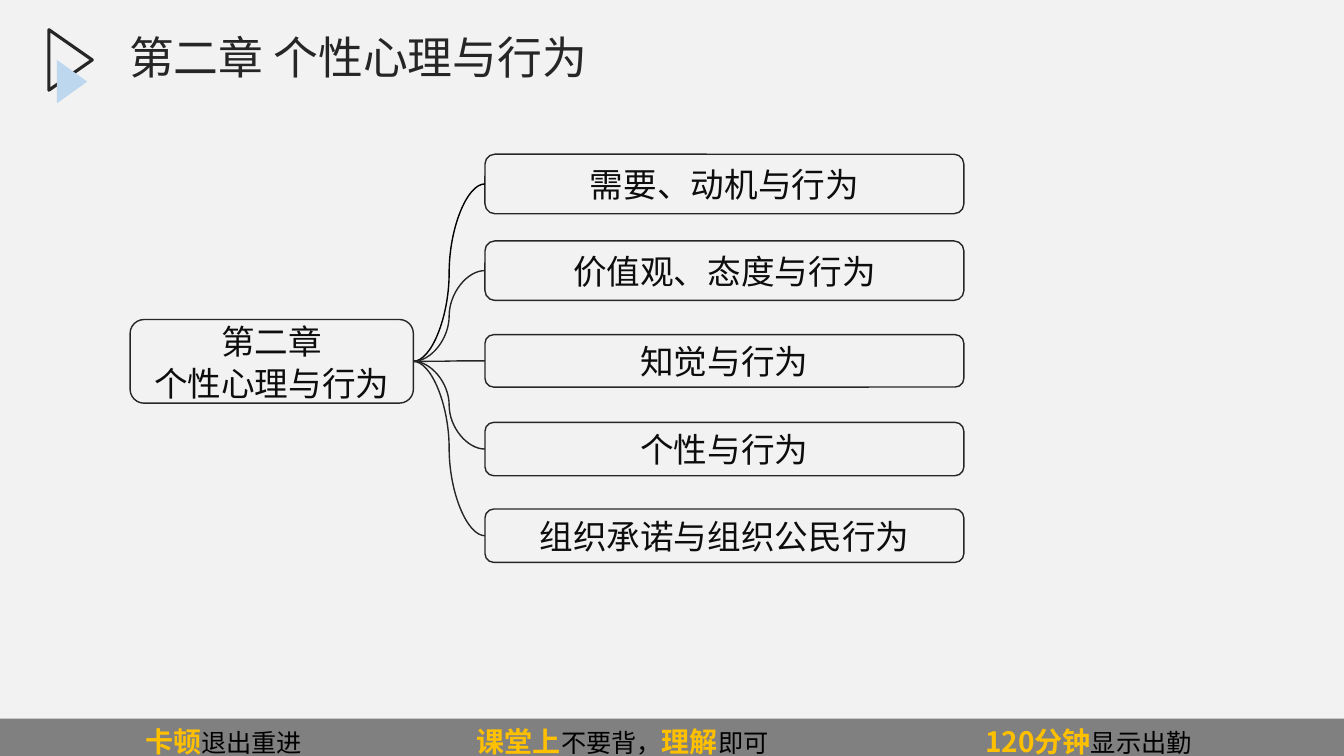
from typing import NamedTuple

from lxml.etree import SubElement
from pptx import Presentation
from pptx.dml.color import RGBColor
from pptx.enum.shapes import MSO_CONNECTOR as Link, MSO_SHAPE as Form
from pptx.enum.text import MSO_ANCHOR as Anchor, MSO_AUTO_SIZE as Fit, PP_ALIGN as Align
from pptx.oxml.ns import qn
from pptx.util import Inches, Pt

FONT = "Noto Sans CJK SC"
COLORS = {
    "page": "F2F2F2", "line": "262626", "text": "0D0D0D", "sky": "BDD7EE",
    "bar": "808080", "gold": "FFC000", "black": "000000",
}


class Box(NamedTuple):
    left: float
    top: float
    width: float
    height: float


class Topic(NamedTuple):
    text: str
    top: float
    height: float


class Note(NamedTuple):
    tab: float
    words: tuple  # strong and plain words in turn


TOPICS = [
    Topic("需要、动机与行为", 1.53, 0.59),
    Topic("价值观、态度与行为", 2.39, 0.59),
    Topic("知觉与行为", 3.32, 0.52),
    Topic("个性与行为", 4.19, 0.53),
    Topic("组织承诺与组织公民行为", 5.05, 0.53),
]
NOTES = [
    Note(1.45, ("卡顿", "退出重进")),
    Note(4.74, ("课堂上", "不要背，", "理解", "即可")),
    Note(9.78, ("120分钟", "显示出勤")),
]


def color(name: str) -> RGBColor:
    return RGBColor.from_string(COLORS[name])


def add_run(para, text: str, size: int, hue: str, bold: bool = False) -> None:
    run = para.add_run()
    run.text = text
    font = run.font
    font.size, font.bold, font.name = Pt(size), bold, FONT
    font.color.rgb = color(hue)
    SubElement(font._element, qn("a:ea"), typeface=FONT)


def add_form(slide, form, box: Box, fill: str = "", line: str = "", weight: float = 1):
    shape = slide.shapes.add_shape(form, *map(Inches, box))
    shape.shadow.inherit = False
    if fill:
        shape.fill.solid()
        shape.fill.fore_color.rgb = color(fill)
    else:
        shape.fill.background()
    if line:
        shape.line.color.rgb = color(line)
        shape.line.width = Pt(weight)
    else:
        shape.line.fill.background()
    return shape


def add_node(slide, box: Box, lines: list[str], pitch: float | None = None):
    node = add_form(slide, Form.ROUNDED_RECTANGLE, box, line="line")
    frame = node.text_frame
    frame.word_wrap, frame.vertical_anchor = True, Anchor.MIDDLE
    for i, text in enumerate(lines):
        para = frame.add_paragraph() if i else frame.paragraphs[0]
        para.alignment = Align.CENTER
        if pitch:
            para.line_spacing = Pt(pitch)
        add_run(para, text, 24, "text")
    return node


def add_curve(slide, start, end, hue: str) -> None:
    curve = slide.shapes.add_connector(Link.CURVE, 0, 0, 0, 0)
    curve.begin_connect(start, 3)  # right side
    curve.end_connect(end, 1)  # left side
    curve.line.color.rgb = color(hue)
    curve.line.width = Pt(1)
    SubElement(curve._element.spPr, qn("a:effectLst"))


def add_title(slide, text: str) -> None:
    title = slide.shapes.title
    title.left, title.top = Inches(1.18), Inches(0.3)
    title.width, title.height = Inches(7.63), Inches(0.89)
    frame = title.text_frame
    frame.auto_size, frame.vertical_anchor = Fit.NONE, Anchor.TOP
    para = frame.paragraphs[0]
    para.alignment, para.line_spacing = Align.LEFT, 0.9
    add_run(para, text, 32, "line")


def add_footer(slide) -> None:
    bar = add_form(slide, Form.RECTANGLE, Box(-0.01, 7.13, 13.34, 0.44), fill="bar")
    frame = bar.text_frame
    frame.vertical_anchor = Anchor.MIDDLE
    frame.margin_left = frame.margin_right = frame.margin_top = frame.margin_bottom = 0
    para = frame.paragraphs[0]
    para.alignment = Align.LEFT
    tabs = SubElement(para._p.get_or_add_pPr(), qn("a:tabLst"))
    for note in NOTES:
        SubElement(tabs, qn("a:tab"), pos=str(Inches(note.tab)), algn="l")
        for i, text in enumerate(note.words):
            strong = i % 2 == 0
            lead = "" if i else "\t"
            add_run(para, lead + text, 20 if strong else 18,
                    "gold" if strong else "black", strong)


def main() -> None:
    deck = Presentation()
    deck.slide_width, deck.slide_height = Inches(13.33), Inches(7.5)
    slide = deck.slides.add_slide(deck.slide_layouts[5])
    slide.background.fill.solid()
    slide.background.fill.fore_color.rgb = color("page")

    # Heading with its two triangles
    for box, fill, line in (
        (Box(0.4, 0.38, 0.6, 0.43), "", "line"),
        (Box(0.5, 0.66, 0.43, 0.3), "sky", ""),
    ):
        mark = add_form(slide, Form.ISOSCELES_TRIANGLE, box, fill, line, 2.25)
        mark.rotation = 90
    add_title(slide, "第二章 个性心理与行为")

    # Mind map: chapter on the left, topics on the right
    root = add_node(slide, Box(1.29, 3.17, 2.81, 0.83), ["第二章", "个性心理与行为"], 30)
    first = root.text_frame.paragraphs[0]
    first._p.get_or_add_pPr().set("indent", str(Inches(-0.16)))
    for i, topic in enumerate(TOPICS):
        box = Box(4.81, topic.top, 4.75, topic.height)
        node = add_node(slide, box, [topic.text])
        add_curve(slide, root, node, "line" if i else "black")

    # Class notes along the bottom
    add_footer(slide)
    deck.save("out.pptx")


if __name__ == "__main__":
    main()
